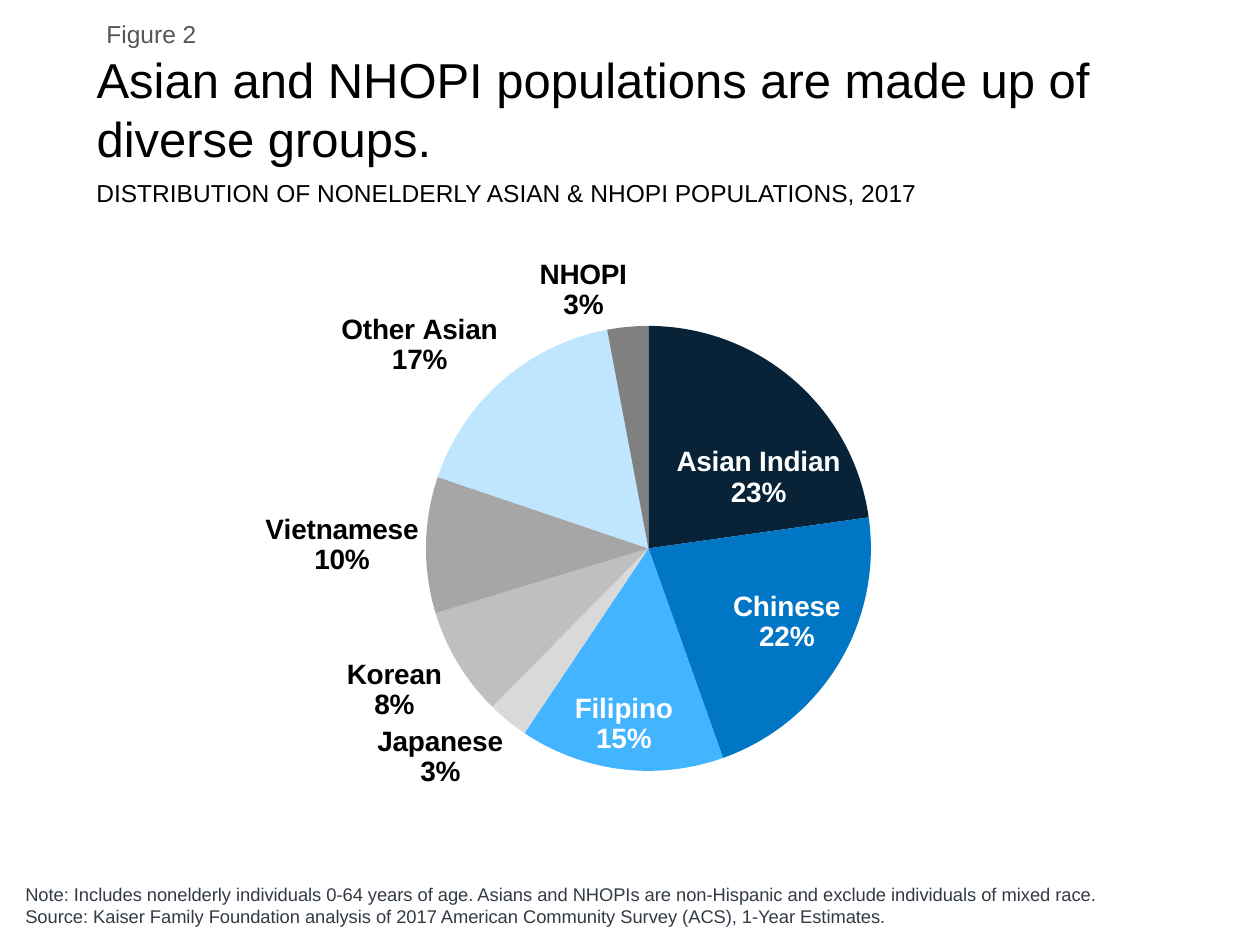
import pptx
import pptx.util
import pptx.chart.data
import pptx.dml.color
import pptx.enum.chart
import pptx.enum.text
import pptx.oxml

RGB = pptx.dml.color.RGBColor
BLACK, WHITE = RGB(0, 0, 0), RGB(255, 255, 255)
GRAY, SLATE = RGB(0x55, 0x56, 0x5A), RGB(0x32, 0x3A, 0x45)
PX = 914400 / 126  # EMU per pixel
CHART_WIDTH, CHART_HEIGHT = 1235, 614
ANCHOR = pptx.enum.text.MSO_ANCHOR
INSIDE = pptx.enum.chart.XL_LABEL_POSITION.INSIDE_END
OUTSIDE = pptx.enum.chart.XL_LABEL_POSITION.OUTSIDE_END
CHART_NS = pptx.oxml.ns.nsdecls("c")
qn = pptx.oxml.ns.qn


def place(*lengths):
    return [round(length * PX) for length in lengths]


def write(box, text, size, color, anchor=ANCHOR.TOP):
    frame = box.text_frame
    frame.word_wrap = True
    frame.vertical_anchor = anchor
    frame.text = text
    for para in frame.paragraphs:
        para.alignment = pptx.enum.text.PP_ALIGN.LEFT
        para.font.name = "Arial"
        para.font.size = pptx.util.Pt(size)
        para.font.color.rgb = color


deck = pptx.Presentation()
deck.slide_width, deck.slide_height = place(1260, 945)
page = deck.slides.add_slide(deck.slide_layouts[5])

# Title
title = page.shapes.title
title.left, title.top, title.width, title.height = place(84, 45, 1163, 126)
write(title, "Asian and NHOPI populations are made up of diverse groups.",
      28, BLACK, anchor=ANCHOR.MIDDLE)

# Figure number, subtitle and footnotes
write(page.shapes.add_textbox(*place(94, 13, 1153, 43)), "Figure 2", 14, GRAY)
write(page.shapes.add_textbox(*place(84, 172, 1092, 43)),
      "DISTRIBUTION OF NONELDERLY ASIAN & NHOPI POPULATIONS, 2017", 14, BLACK)
write(page.shapes.add_textbox(*place(13, 857, 1131, 76)),
      "Note: Includes nonelderly individuals 0-64 years of age. Asians and NHOPIs "
      "are non-Hispanic and exclude individuals of mixed race.\n"
      "Source: Kaiser Family Foundation analysis of 2017 American Community Survey "
      "(ACS), 1-Year Estimates.",
      10.5, SLATE, anchor=ANCHOR.BOTTOM)

# Pie chart: group, share, slice colour, label colour, label position, label shift in px
groups = [
    ("Asian Indian", 0.23, "082338", WHITE, INSIDE, (51, 61)),
    ("Chinese", 0.22, "0076C4", WHITE, INSIDE, (8, -8)),
    ("Filipino", 0.15, "43B4FF", WHITE, INSIDE, (-47, -8)),
    ("Japanese", 0.03, "D9D9D9", BLACK, OUTSIDE, None),
    ("Korean", 0.08, "BFBFBF", BLACK, OUTSIDE, (-10, -8)),
    ("Vietnamese", 0.10, "A6A6A6", BLACK, OUTSIDE, None),
    ("Other Asian", 0.17, "C0E6FF", BLACK, OUTSIDE, None),
    ("NHOPI", 0.03, "808080", BLACK, OUTSIDE, None),
]
data = pptx.chart.data.CategoryChartData(number_format="0%")
data.categories = [group[0] for group in groups]
data.add_series("Series 1", [group[1] for group in groups])
chart = page.shapes.add_chart(
    pptx.enum.chart.XL_CHART_TYPE.PIE,
    *place(13, 242, CHART_WIDTH, CHART_HEIGHT), data).chart
chart.has_legend = False
chart.has_title = False
chart.font.name = "Arial"
chart.font.size = pptx.util.Pt(10)
chart.font.color.rgb = BLACK

# Fixed pie area inside the chart
plot_area = chart._chartSpace.chart.plotArea
for old in plot_area.findall(qn("c:layout")):
    plot_area.remove(old)
plot_area.insert(0, pptx.oxml.parse_xml(
    f'<c:layout {CHART_NS}><c:manualLayout>'
    '<c:layoutTarget val="inner"/><c:xMode val="edge"/><c:yMode val="edge"/>'
    f'<c:x val="{413 / CHART_WIDTH}"/><c:y val="{84 / CHART_HEIGHT}"/>'
    f'<c:w val="{445 / CHART_WIDTH}"/><c:h val="{445 / CHART_HEIGHT}"/>'
    '</c:manualLayout></c:layout>'))

# Slices and their labels
plot = chart.plots[0]
plot.vary_by_categories = True
series = plot.series[0]
labels = series.data_labels
labels.show_value = labels.show_category_name = True
labels.number_format, labels.number_format_is_linked = "0%", False
labels.font.name, labels.font.size = "Arial", pptx.util.Pt(16)
labels.font.bold = True
for leader in labels._element.findall(qn("c:showLeaderLines")):
    leader.set("val", "0")
for index, (name, share, fill, color, position, shift) in enumerate(groups):
    point = series.points[index]
    point.format.fill.solid()
    point.format.fill.fore_color.rgb = RGB.from_string(fill)
    label = point.data_label
    label.font.name, label.font.size = "Arial", pptx.util.Pt(16)
    label.font.bold = True
    label.font.color.rgb = color
    label.position = position
    node = label._get_or_add_dLbl()
    node.find(qn("c:showCatName")).set("val", "1")
    node.append(pptx.oxml.parse_xml(
        f'<c:separator {CHART_NS}>\n</c:separator>'))
    if shift:
        right, down = shift
        node.insert(1, pptx.oxml.parse_xml(
            f'<c:layout {CHART_NS}><c:manualLayout>'
            f'<c:x val="{right / CHART_WIDTH}"/><c:y val="{down / CHART_HEIGHT}"/>'
            '</c:manualLayout></c:layout>'))

deck.save("out.pptx")
